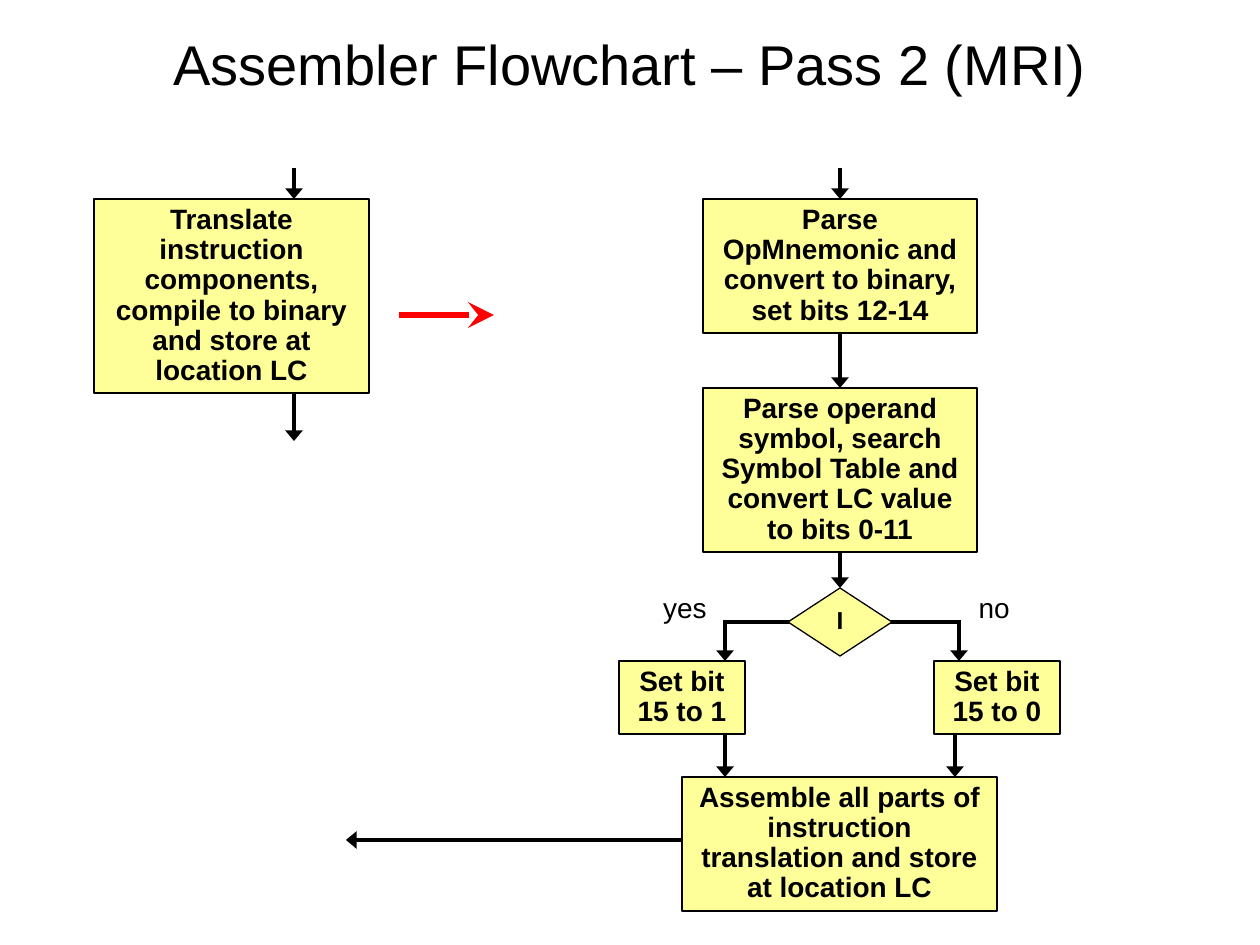
from pptx import Presentation
from pptx.dml.color import RGBColor
from pptx.enum.shapes import MSO_CONNECTOR as CONNECTOR, MSO_SHAPE as SHAPE
from pptx.enum.text import MSO_ANCHOR as ANCHOR, MSO_AUTO_SIZE as AUTO_SIZE, PP_ALIGN as ALIGN
from pptx.oxml.ns import qn
from pptx.util import Inches, Pt
from lxml.etree import SubElement

BLACK = RGBColor(0x00, 0x00, 0x00)
RED = RGBColor(0xFF, 0x00, 0x00)
YELLOW = RGBColor(0xFF, 0xFF, 0x99)
FONT = "Arial"
EMU_PER_PX = Inches(1) / 126
TOP, BOTTOM = 0, 2


def px(*lengths):
    return [round(length * EMU_PER_PX) for length in lengths]


class Flowchart:
    """Holds the flowchart style and the current slide."""

    def __init__(self, slide):
        self.slide = slide
        self.shapes = slide.shapes

    def format_text(self, frame, text, size, align=ALIGN.CENTER, bold=False, spacing=0.9):
        frame.text = text
        paragraph = frame.paragraphs[0]
        paragraph.alignment = align
        paragraph.line_spacing = spacing
        paragraph.space_before = Pt(0)
        for run in paragraph.runs:
            run.font.name = FONT
            run.font.size = Pt(size)
            run.font.bold = bold
            run.font.color.rgb = BLACK

    def title(self, text, left, top, width, height):
        shape = self.shapes.title
        shape.left, shape.top, shape.width, shape.height = px(left, top, width, height)
        frame = shape.text_frame
        frame.auto_size = AUTO_SIZE.NONE
        frame.vertical_anchor = ANCHOR.MIDDLE
        self.format_text(frame, text, 32, spacing=1.0)

    def node(self, text, left, top, width, height, kind=SHAPE.RECTANGLE,
             size=16, anchor=ANCHOR.TOP, wrap=True):
        shape = self.shapes.add_shape(kind, *px(left, top, width, height))
        shape.shadow.inherit = False
        shape.fill.solid()
        shape.fill.fore_color.rgb = YELLOW
        shape.line.color.rgb = BLACK
        shape.line.width = Pt(0.75)
        frame = shape.text_frame
        frame.word_wrap = wrap
        frame.vertical_anchor = anchor
        self.format_text(frame, text, size, bold=True)
        return shape

    def decision(self, text, left, top, width, height):
        return self.node(text, left, top, width, height, SHAPE.FLOWCHART_DECISION,
                         14, ANCHOR.MIDDLE, wrap=False)

    def label(self, text, left, top, width, height):
        frame = self.shapes.add_textbox(*px(left, top, width, height)).text_frame
        frame.word_wrap = False
        frame.auto_size = AUTO_SIZE.SHAPE_TO_FIT_TEXT
        frame.margin_left = 0  # room for the word on one line
        self.format_text(frame, text, 16, ALIGN.RIGHT)

    def line(self, x1, y1, x2, y2, color=BLACK, width=2, head=None, head_length="med",
             source=None, target=None):
        connector = self.shapes.add_connector(CONNECTOR.STRAIGHT, *px(x1, y1, x2, y2))
        connector.line.color.rgb = color
        connector.line.width = Pt(width)
        if head:
            SubElement(connector.line._get_or_add_ln(), qn("a:tailEnd"),
                       type=head, w="lg", len=head_length)
        SubElement(connector._element.spPr, qn("a:effectLst"))
        if source is not None:
            connector.begin_connect(source, BOTTOM)
        if target is not None:
            connector.end_connect(target, TOP)

    def arrow(self, x1, y1, x2, y2, **options):
        self.line(x1, y1, x2, y2, head="triangle", **options)


def main():
    presentation = Presentation()
    presentation.slide_width, presentation.slide_height = px(1260, 945)
    chart = Flowchart(presentation.slides.add_slide(presentation.slide_layouts[5]))
    chart.title("Assembler Flowchart – Pass 2 (MRI)", 0, 0, 1260, 126)

    # Single step on the left, expanded on the right
    chart.node("Translate instruction components, compile to binary and store at location LC",
               94, 199, 275, 194)
    chart.arrow(294, 168, 294, 199)
    chart.arrow(294, 393, 294, 441)
    chart.line(399, 315, 494, 315, color=RED, width=3, head="stealth", head_length="lg")

    # Parsing steps
    middle = 840
    opcode = chart.node("Parse OpMnemonic and convert to binary, set bits 12-14",
                        703, 199, 274, 134)
    operand = chart.node("Parse operand symbol, search Symbol Table and convert LC value to bits 0-11",
                         703, 388, 274, 164)

    # Decision, with the branch line running behind it
    chart.line(725, 622, 961, 622)
    decision = chart.decision("I", 788, 588, 104, 68)
    chart.arrow(middle, 168, middle, 199, target=opcode)
    chart.arrow(middle, 333, middle, 388, source=opcode, target=operand)
    chart.arrow(middle, 552, middle, 588, source=operand, target=decision)

    # Two branches: answer, its left edge and width, bit value, box left, arrows in and out
    branches = [
        ("yes", 651, 68, 1, 619, 725, 725),
        ("no", 966, 56, 0, 934, 959, 955),
    ]
    for answer, label_left, label_width, bit, box_left, x_in, x_out in branches:
        chart.label(answer, label_left, 588, label_width, 43)
        chart.node(f"Set bit 15 to {bit}", box_left, 661, 126, 73)
        chart.arrow(x_in, 620, x_in, 661)
        chart.arrow(x_out, 734, x_out, 777)

    # Final step and exit
    chart.node("Assemble all parts of instruction translation and store at location LC",
               682, 777, 315, 134)
    chart.arrow(682, 840, 346, 840)

    presentation.save("out.pptx")


if __name__ == "__main__":
    main()
